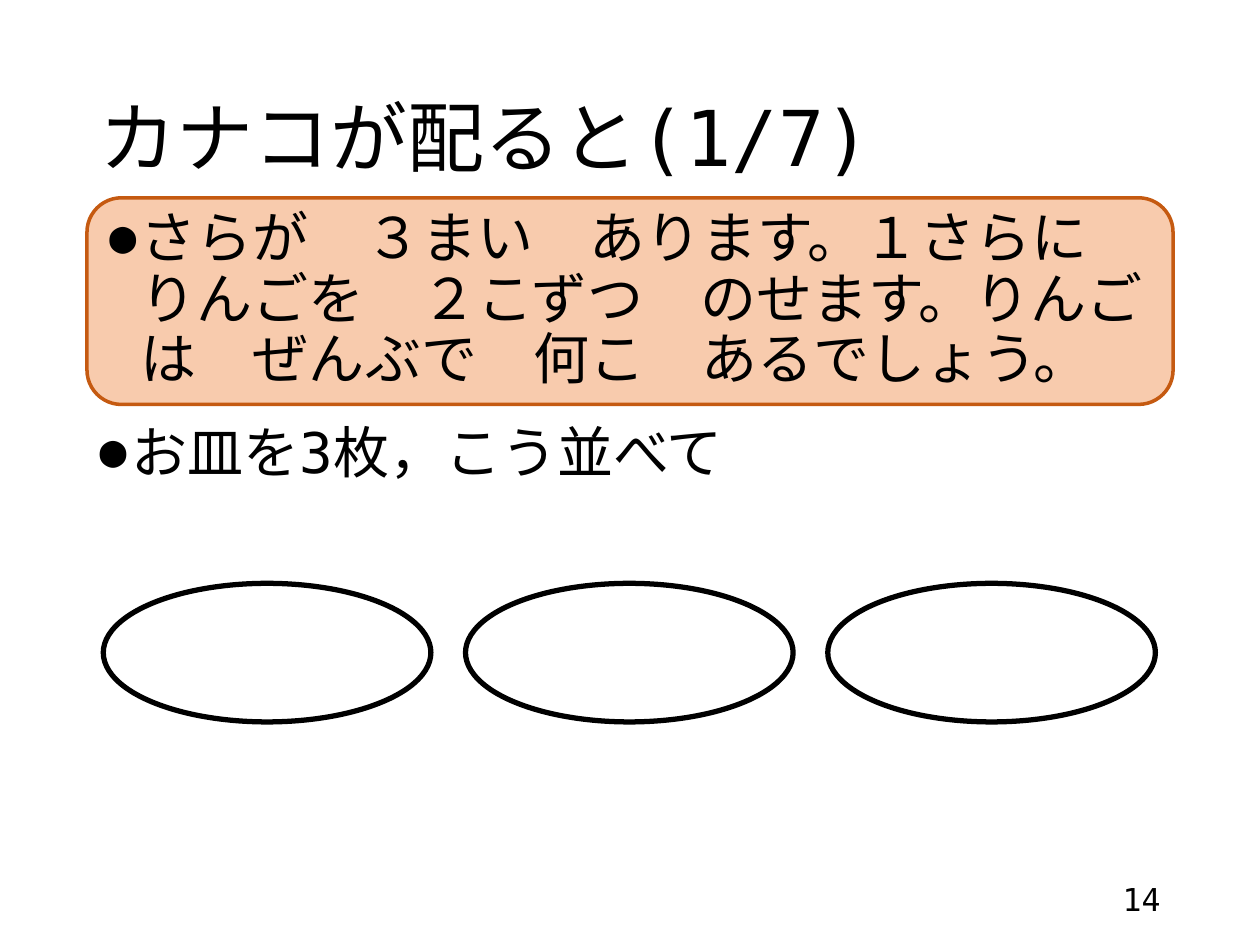
from lxml import etree
from pptx import Presentation
from pptx.dml.color import RGBColor
from pptx.enum import lang, shapes, text
from pptx.oxml import ns
from pptx.util import Inches, Pt

BLACK = RGBColor(0x00, 0x00, 0x00)
WHITE = RGBColor(0xFF, 0xFF, 0xFF)
PEACH = RGBColor(0xF8, 0xCB, 0xAD)
ORANGE = RGBColor(0xC5, 0x5A, 0x11)
FONT = "DejaVu Sans Mono"
LEFT, WIDTH = Inches(0.69), Inches(8.62)


def place(shape, left, top, width, height):
    shape.left, shape.top, shape.width, shape.height = left, top, width, height


def write(shape, words, size, anchor, align=text.PP_ALIGN.LEFT, bullet=False):
    frame = shape.text_frame
    frame.word_wrap = True
    frame.auto_size = text.MSO_AUTO_SIZE.NONE
    frame.vertical_anchor = anchor
    paragraph = frame.paragraphs[0]
    if bullet:
        add_bullet(paragraph)
    paragraph.alignment = align
    paragraph.line_spacing = 0.9
    paragraph.space_before = Pt(0)
    run = paragraph.add_run()
    run.text = words
    run.font.name = FONT
    run.font.size = Pt(size)
    run.font.color.rgb = BLACK
    run.font.language_id = lang.MSO_LANGUAGE_ID.JAPANESE


def add_bullet(paragraph):
    properties = paragraph._p.get_or_add_pPr()
    properties.set("marL", str(Inches(0.25)))
    properties.set("indent", str(-Inches(0.25)))
    etree.SubElement(properties, ns.qn("a:buSzPct")).set("val", "80000")
    etree.SubElement(properties, ns.qn("a:buFont")).set("typeface", FONT)
    etree.SubElement(properties, ns.qn("a:buChar")).set("char", "●")


def add_outlined(slide, kind, box, fill, line, line_width):
    shape = slide.shapes.add_shape(kind, *box)
    shape.shadow.inherit = False
    shape.fill.solid()
    shape.fill.fore_color.rgb = fill
    shape.line.color.rgb = line
    shape.line.width = Pt(line_width)
    return shape


def fill_title(slide, *box):
    place(slide.shapes.title, *box)
    write(slide.shapes.title, "カナコが配ると(1/7)", 44, text.MSO_ANCHOR.MIDDLE)


def add_problem(slide, *box):
    problem = add_outlined(slide, shapes.MSO_SHAPE.ROUNDED_RECTANGLE, box,
                           PEACH, ORANGE, 2)
    write(problem,
          "さらが　３まい　あります。１さらに　りんごを　２こずつ　のせます。"
          "りんごは　ぜんぶで　何こ　あるでしょう。",
          32, text.MSO_ANCHOR.MIDDLE, bullet=True)


def fill_body(slide, *box):
    body = slide.placeholders[1]
    place(body, *box)
    write(body, "お皿を3枚，こう並べて", 32, text.MSO_ANCHOR.TOP, bullet=True)


def add_plates(slide, left, top, width, height, count=3):
    plate_width = Inches(2.6)
    step = (width - plate_width) // (count - 1)
    for index in range(count):
        box = (left + index * step, top, plate_width, height)
        add_outlined(slide, shapes.MSO_SHAPE.OVAL, box, WHITE, BLACK, 3)


def add_page_number(slide, *box):
    write(slide.shapes.add_textbox(*box), "14", 18, text.MSO_ANCHOR.MIDDLE,
          text.PP_ALIGN.RIGHT)


def main():
    presentation = Presentation()
    presentation.slide_width = Inches(10)
    presentation.slide_height = Inches(7.5)
    slide = presentation.slides.add_slide(presentation.slide_layouts[1])
    fill_title(slide, LEFT, Inches(0.4), WIDTH, Inches(1.45))
    fill_body(slide, LEFT, Inches(3.32), WIDTH, Inches(3.43))
    add_page_number(slide, Inches(7.06), Inches(6.95), Inches(2.25), Inches(0.4))
    add_problem(slide, LEFT, Inches(1.57), WIDTH, Inches(1.64))
    add_plates(slide, Inches(0.82), Inches(4.63), Inches(8.35), Inches(1.1))
    presentation.save("out.pptx")


if __name__ == "__main__":
    main()
